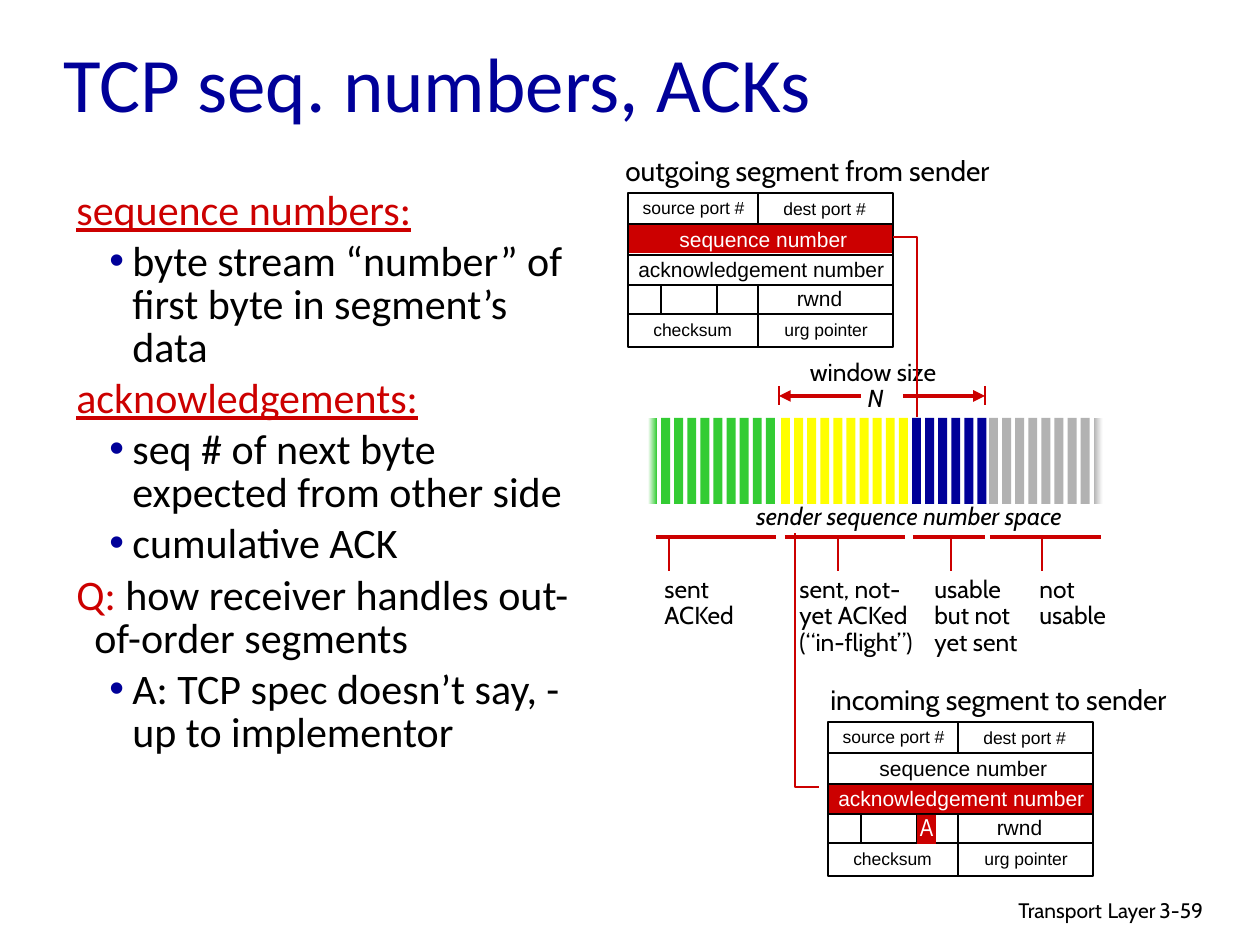
from pptx import Presentation
from pptx.dml.color import RGBColor
from pptx.enum.shapes import MSO_CONNECTOR as Conn, MSO_SHAPE as Shape
from pptx.enum.text import MSO_ANCHOR as Anchor, MSO_AUTO_SIZE as Auto, PP_ALIGN as Align
from pptx.oxml.ns import qn
from pptx.util import Emu, Pt
from lxml.etree import SubElement as Sub

PX = 914400 / 126
BLACK, WHITE, RED, BLUE = "000000", "FFFFFF", "CC0000", "000099"
GREEN, YELLOW, GREY = "33CC33", "FFFF00", "B2B2B2"
ITALIC = {"italic": True}


def emu(n):
    return Emu(round(n * PX))


def rgb(code):
    return RGBColor.from_string(code)


class Pen:
    def __init__(self, slide, font="Cabin", size=14):
        self.slide, self.font, self.size = slide, font, size

    def rect(self, x, y, w, h, fill=None, line=None, fade=None):
        box = self.slide.shapes.add_shape(Shape.RECTANGLE, *map(emu, (x, y, w, h)))
        box.shadow.inherit = False
        if fade:
            box.fill.gradient()
            box.fill.gradient_angle = 0
            for stop, code in zip(box.fill.gradient_stops, fade):
                stop.color.rgb = rgb(code)
        elif fill:
            box.fill.solid()
            box.fill.fore_color.rgb = rgb(fill)
        else:
            box.fill.background()
        if line:
            box.line.color.rgb = rgb(line)
            box.line.width = Pt(0.75)
        else:
            box.line.fill.background()

    def line(self, x1, y1, x2, y2, color=BLACK, width=0.75, arrow=False):
        link = self.slide.shapes.add_connector(Conn.STRAIGHT, *map(emu, (x1, y1, x2, y2)))
        link.line.color.rgb = rgb(color)
        link.line.width = Pt(width)
        if arrow:
            Sub(link.line._get_or_add_ln(), qn("a:tailEnd"), type="triangle")
        Sub(link._element.spPr, qn("a:effectLst"))

    def bend(self, start, *rest):
        build = self.slide.shapes.build_freeform(*start, scale=PX)
        build.add_line_segments(rest, close=False)
        route = build.convert_to_shape()
        route.shadow.inherit = False
        route.fill.background()
        route.line.color.rgb = rgb(RED)
        route.line.width = Pt(0.75)

    def text(self, x, y, w, h, *paras, size=None, font=None, color=BLACK,
             align=Align.LEFT, wrap=True, grow=True, space=None):
        """Each paragraph is a string or a list of (text, changes) runs."""
        box = self.slide.shapes.add_textbox(*map(emu, (x, y, w, h)))
        frame = box.text_frame
        frame.word_wrap = wrap
        frame.auto_size = Auto.SHAPE_TO_FIT_TEXT if grow else Auto.NONE
        for i, runs in enumerate(paras):
            para = frame.paragraphs[0] if i == 0 else frame.add_paragraph()
            para.alignment = align
            if space:
                para.line_spacing = space
            for words, style in [(runs, {})] if isinstance(runs, str) else runs:
                run = para.add_run()
                run.text = words
                look = {"size": size or self.size, "color": color, **style}
                run.font.name = font or self.font
                run.font.size = Pt(look["size"])
                run.font.color.rgb = rgb(look["color"])
                run.font.italic = look.get("italic")
                run.font.underline = look.get("underline")
        return frame

    def segment(self, x, y, title, shift, wide, red):
        """A TCP header with its caption; red is the row that stands out."""
        self.rect(x, y + 31 * red, 264, 29, fill=RED)
        self.rect(x, y, 265, 154, line=BLACK)
        for row in (31, 62, 92, 121):
            self.line(x, y + row, x + 265, y + row)
        for col, top, end in ((130, 0, 31), (130, 92, 154), (89, 92, 121), (33, 92, 121)):
            self.line(x + col, y + top, x + col, y + end)
        for words, dx, dy, w, size in (
                ("source port #", 0, -2, 131, 10), ("dest port #", 137, -1, 119, 10),
                ("rwnd", 152, 86, 79, 12),
                ("checksum", 6, 120, 117, 10), ("urg pointer", 138, 120, 120, 10)):
            self.text(x + dx, y + dy, w, 34 if size == 10 else 38, words, size=size,
                      font="Arial", align=Align.CENTER, wrap=False)
        for row, words, dx, dy, w in ((1, "sequence number", 35, 27, 201),
                                      (2, "acknowledgement number", -4, 57, 275)):
            self.text(x + dx, y + dy, w, 38, words, size=12, font="Arial",
                      color=WHITE if row == red else BLACK, align=Align.CENTER)
        self.text(x - shift, y - 46, wide, 47, title, size=16, align=Align.CENTER, wrap=False)


def main():
    deck = Presentation()
    deck.slide_width, deck.slide_height = emu(1260), emu(945)
    pen = Pen(deck.slides.add_slide(deck.slide_layouts[6]))

    # Footer
    pen.text(769, 888, 399, 39, [("Transport", {}), (" ", {"size": 14}), ("Layer", {})],
             size=12, align=Align.RIGHT, grow=False)
    pen.text(1147, 891, 93, 38, "3-59", size=12, grow=False)

    # Title and body
    title = pen.text(51, 21, 1071, 122, "TCP seq. numbers, ACKs", size=44,
                     font="Calibri", color=BLUE, grow=False)
    title.vertical_anchor = Anchor.MIDDLE
    head = {"color": RED, "underline": True}
    points = (
        (0, [("sequence numbers:", head)]),
        (1, "byte stream “number” of first byte in segment’s data"),
        (0, [("acknowledgements:", head)]),
        (1, "seq # of next byte expected from other side"),
        (1, "cumulative ACK"),
        (0, [("Q:", {"color": RED}), (" how receiver handles out-of-order segments", {})]),
        (1, "A: TCP spec doesn’t say, - up to implementor"))
    body = pen.text(49, 185, 542, 640, *(runs for _, runs in points), size=24,
                    font="Calibri", grow=False, space=0.85)
    for i, (para, (level, _)) in enumerate(zip(body.paragraphs, points)):
        if i:
            para.space_before = Pt(4.8)
        para.level = level
        props = para._p.get_or_add_pPr()
        props.set("marL", str(emu(71 if level else 33)))
        props.set("indent", str(emu(-23 if level else -18)))
        if level:
            Sub(Sub(props, qn("a:buClr")), qn("a:srgbClr"), val=BLUE)
            Sub(props, qn("a:buFont"), typeface="Arial")
            Sub(props, qn("a:buChar"), char="•")

    # Incoming segment, with its A flag
    pen.segment(828, 722, "incoming segment to sender", 18, 377, red=2)
    pen.bend((819, 787), (795, 787), (795, 533))
    pen.rect(917, 815, 19, 29, fill=RED)
    pen.text(902, 806, 49, 41, "A", font="Arial Narrow", color=WHITE, align=Align.CENTER)

    # Sequence number space: bars, brackets and labels
    for start, count, color in ((648, 10, GREEN), (781, 10, YELLOW),
                                (912, 6, BLUE), (989, 9, GREY)):
        for i in range(count):
            fade = None
            if color == GREEN and i == 0:
                fade = (WHITE, GREEN)
            elif color == GREY and i == count - 1:
                fade = (GREY, WHITE)
            pen.rect(start + 13.1 * i, 418, 9, 86, fill=color, fade=fade)
    for x1, x2, stem, left, wide, tall, lines in (
            (656, 776, 669, 652, 96, 66, ("sent", "ACKed")),
            (785, 905, 838, 787, 147, 92, ("sent, not-yet ACKed", "(“in-flight”)")),
            (913, 985, 951, 922, 147, 92, ("usable", "but not", "yet sent")),
            (990, 1101, 1042, 1027, 113, 66, ("not", "usable"))):
        pen.line(x1, 537, x2, 537, RED, 2.25)
        pen.line(stem, 539, stem, 571, RED)
        pen.text(left, 571, wide, tall, *lines, space=0.9)

    # Window size
    pen.text(795, 354, 156, 66, "window size", [(" N", ITALIC)],
             align=Align.CENTER, wrap=False, space=0.9)
    for near, far in ((903, 985), (861, 779)):
        pen.line(near, 396, far, 396, RED, 2.25, arrow=True)
        pen.line(far, 386, far, 405, RED)
    pen.text(693, 495, 438, 42, [("sender sequence number space ", ITALIC)],
             align=Align.CENTER, wrap=False)

    # Outgoing segment
    pen.segment(628, 193, "outgoing segment from sender", 24, 407, red=1)
    pen.bend((893, 237), (917, 237), (917, 417))

    deck.save("out.pptx")


if __name__ == "__main__":
    main()
